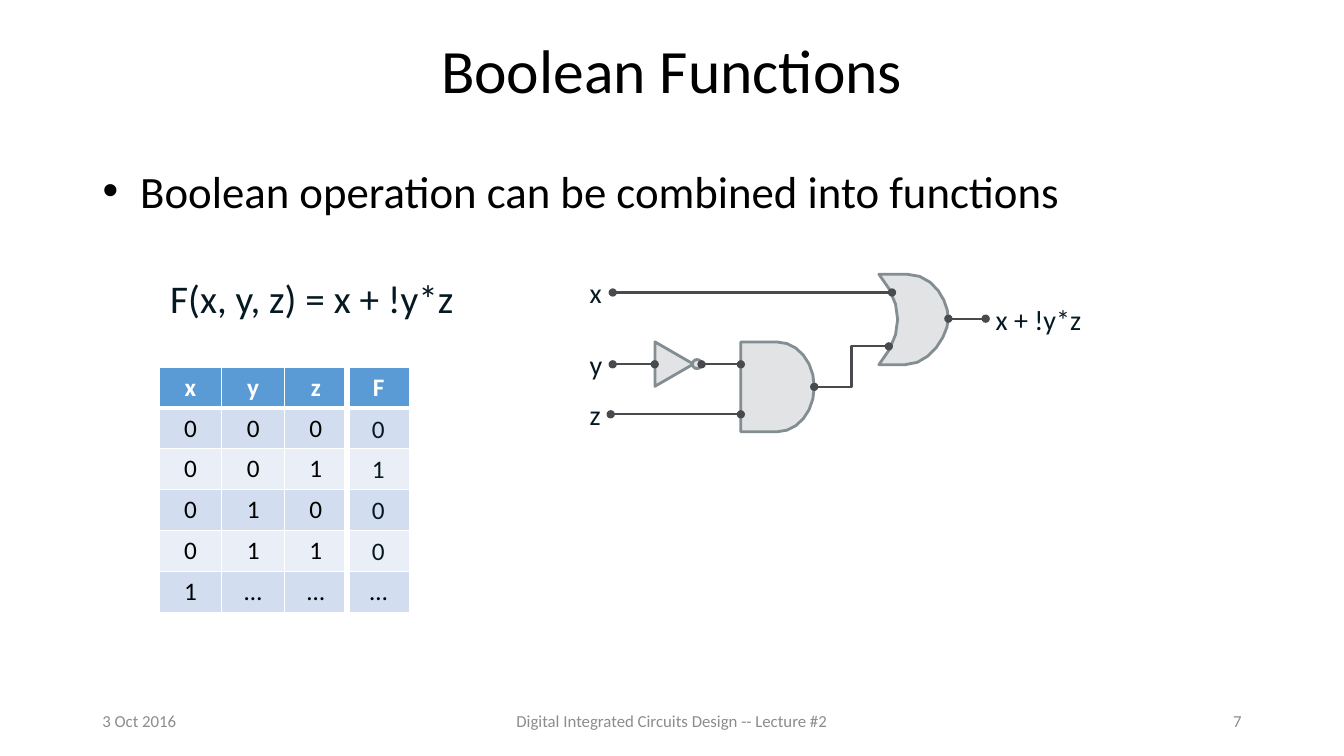
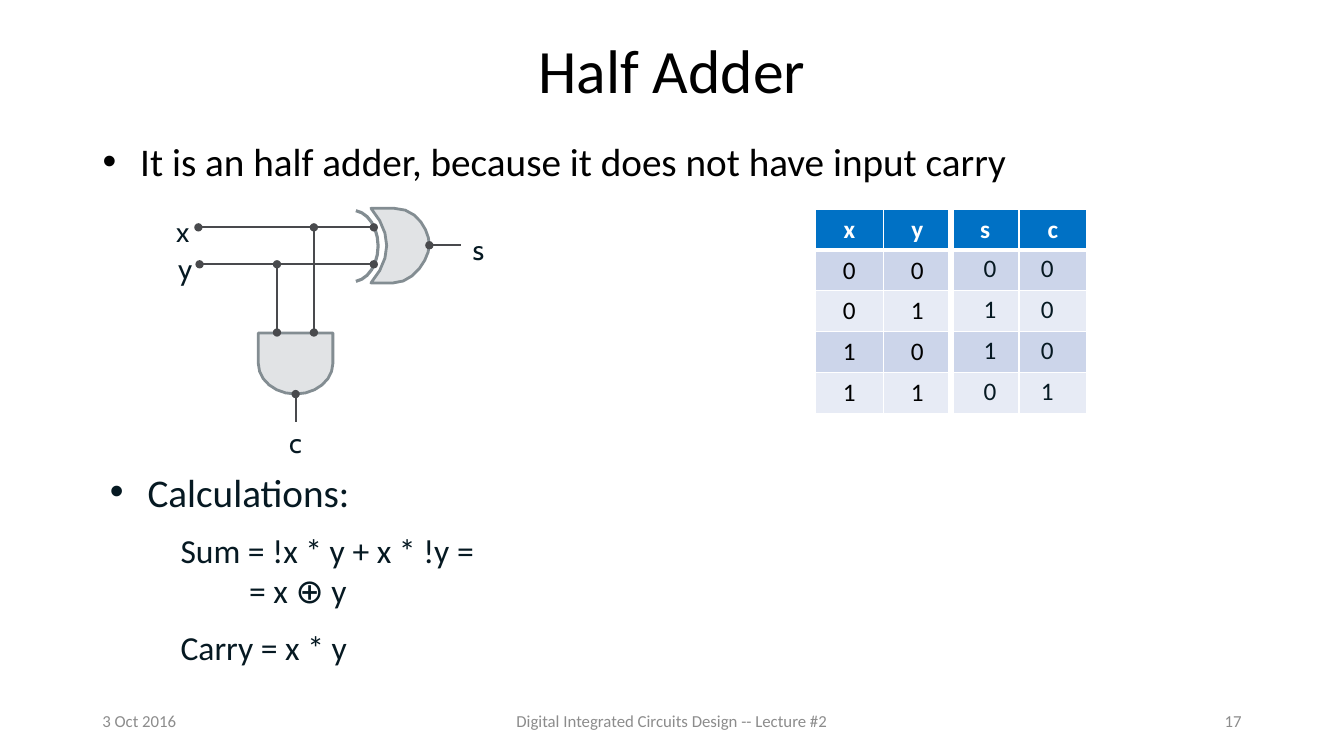
from dataclasses import dataclass
from typing import Any

from lxml.etree import SubElement
from pptx import Presentation
from pptx.dml.color import RGBColor
from pptx.enum.shapes import MSO_CONNECTOR, MSO_SHAPE
from pptx.enum.text import MSO_ANCHOR, MSO_AUTO_SIZE, PP_ALIGN
from pptx.oxml.ns import qn
from pptx.util import Cm, Pt

BLACK = RGBColor(0x00, 0x00, 0x00)
WHITE = RGBColor(0xFF, 0xFF, 0xFF)
INK = RGBColor(0x06, 0x19, 0x22)
FOOTER_GRAY = RGBColor(0x8C, 0x8C, 0x8C)
GATE_FILL = RGBColor(0xE1, 0xE3, 0xE5)
GATE_LINE = RGBColor(0x83, 0x8D, 0x92)
WIRE = RGBColor(0x49, 0x4A, 0x4D)
# Table palettes: header, odd rows, even rows
SKY = (RGBColor(0x5B, 0x9B, 0xD5), RGBColor(0xD2, 0xDE, 0xEF), RGBColor(0xEA, 0xEF, 0xF7))
BLUE = (RGBColor(0x00, 0x71, 0xC5), RGBColor(0xCC, 0xD5, 0xEA), RGBColor(0xE7, 0xEB, 0xF5))

MARGIN = 2.33
CONTENT_WIDTH = 29.21
HANG = 0.95
ROW_HEIGHT = 1.03

# Unit outlines: a pair is a corner, three pairs are a cubic curve.
AND_OUTLINE = [[(0, 0)], [(0.5, 0)], [(0.77, 0), (1, 0.22), (1, 0.5)],
               [(1, 0.78), (0.77, 1), (0.5, 1)], [(0, 1)]]
AND_DOWN_OUTLINE = [[(1 - v, u) for u, v in segment] for segment in AND_OUTLINE]
OR_OUTLINE = [[(0.4, 0)], [(0, 0)], [(0.36, 0.33), (0.36, 0.67), (0, 1)], [(0.38, 1)],
              [(0.75, 1), (1, 0.66), (1, 0.49)], [(1, 0.32), (0.81, 0), (0.4, 0)]]
XOR_ARC = [[(0, 0)], [(0.55, 0.03), (1, 0.24), (1, 0.5)], [(1, 0.76), (0.55, 0.97), (0, 1)]]


def write(para, text, size=20, font="Calibri", color=INK, bold=False, align=PP_ALIGN.LEFT):
    para.alignment = align
    span = para.add_run()
    span.text = text
    span.font.size = Pt(size)
    span.font.name = font
    span.font.bold = bold
    span.font.color.rgb = color


def indent(para, margin, first=0, bullet=None):
    """Set the left margin and first-line offset, with an optional bullet."""
    properties = para._p.get_or_add_pPr()
    properties.set("marL", str(Cm(margin)))
    properties.set("indent", str(Cm(first)))
    if bullet:
        SubElement(properties, qn("a:buFont")).set("typeface", "Arial")
        SubElement(properties, qn("a:buChar")).set("char", bullet)


def add_text(page, text, left, top, width, height, wrap=True,
             anchor=MSO_ANCHOR.TOP, inset=None, **style):
    """Add a text box holding one paragraph and return its text frame."""
    box = page.shapes.add_textbox(Cm(left), Cm(top), Cm(width), Cm(height))
    frame = box.text_frame
    frame.word_wrap = wrap
    frame.vertical_anchor = anchor
    if inset is not None:
        frame.margin_left = frame.margin_right = Cm(inset)
        frame.margin_top = frame.margin_bottom = Cm(inset)
    write(frame.paragraphs[0], text, **style)
    return frame


def place(shape, left, top, width, height):
    shape.left, shape.top = Cm(left), Cm(top)
    shape.width, shape.height = Cm(width), Cm(height)


def trace(outline, steps=6):
    """Turn an outline into a list of points, sampling its curves."""
    points = []
    for segment in outline:
        if len(segment) == 1:
            points += segment
            continue
        controls = [points[-1], *segment]
        for t in (step / steps for step in range(1, steps + 1)):
            weights = ((1 - t) ** 3, 3 * t * (1 - t) ** 2, 3 * t * t * (1 - t), t ** 3)
            points.append([sum(w * p[axis] for w, p in zip(weights, controls)) for axis in (0, 1)])
    return points


def style_shape(shape, fill=GATE_FILL, line=GATE_LINE, line_width=2):
    shape.shadow.inherit = False
    if fill is None:
        shape.fill.background()
    else:
        shape.fill.solid()
        shape.fill.fore_color.rgb = fill
    shape.line.color.rgb = line
    shape.line.width = Pt(line_width)


@dataclass
class Circuit:
    """A diagram whose parts are placed relative to its top left corner."""
    page: Any
    left: float
    top: float
    font: str = "Calibri"

    def label(self, text, x, y, width=0.81):
        add_text(self.page, text, self.left + x, self.top + y, width, 1.12,
                 wrap=False, font=self.font)

    def gate(self, outline, x, y, width, height, closed=True, **style):
        points = [(Cm(self.left + x + u * width), Cm(self.top + y + v * height))
                  for u, v in trace(outline)]
        builder = self.page.shapes.build_freeform(*points[0])
        builder.add_line_segments(points[1:], close=closed)
        style_shape(builder.convert_to_shape(), **style)

    def preset(self, kind, x, y, width, height, rotation=0, **style):
        shape = self.page.shapes.add_shape(
            kind, Cm(self.left + x), Cm(self.top + y), Cm(width), Cm(height))
        shape.rotation = rotation
        style_shape(shape, **style)

    def wire(self, x1, y1, x2, y2, kind=MSO_CONNECTOR.STRAIGHT, ends=("headEnd", "tailEnd")):
        connector = self.page.shapes.add_connector(
            kind, Cm(self.left + x1), Cm(self.top + y1), Cm(self.left + x2), Cm(self.top + y2))
        connector.line.color.rgb = WIRE
        connector.line.width = Pt(1.5)
        line = connector.line._get_or_add_ln()
        for end in ends:
            SubElement(line, qn(f"a:{end}")).set("type", "oval")
        SubElement(connector._element.spPr, qn("a:effectLst"))


def set_border(cell, side, width):
    line = SubElement(cell._tc.get_or_add_tcPr(), qn(f"a:ln{side}"), w=str(Pt(width)))
    fill = SubElement(line, qn("a:solidFill"))
    SubElement(fill, qn("a:srgbClr")).set("val", str(WHITE))


def add_truth_table(page, rows, inputs, palette, left, top, column_width):
    """Add a table with a thick rule after its inputs; short rows end in empty cells."""
    columns = len(rows[0])
    table = page.shapes.add_table(
        len(rows), columns, Cm(left), Cm(top),
        Cm(columns * column_width), Cm(len(rows) * ROW_HEIGHT)).table
    table.first_row = table.horz_banding = False
    for column in table.columns:
        column.width = Cm(column_width)
    header, odd, even = palette
    for r, row in enumerate(rows):
        table.rows[r].height = Cm(ROW_HEIGHT)
        for c in range(columns):
            cell = table.cell(r, c)
            set_border(cell, "L", 4.5 if c == inputs else 1)
            set_border(cell, "R", 4.5 if c == inputs - 1 else 1)
            set_border(cell, "T", 3 if r == 1 else 1)
            set_border(cell, "B", 3 if r == 0 else 1)
            cell.fill.solid()
            cell.fill.fore_color.rgb = header if r == 0 else odd if r % 2 else even
            write(cell.text_frame.paragraphs[0], row[c:c + 1], size=18, bold=r == 0,
                  color=BLACK if r else WHITE, align=PP_ALIGN.CENTER)


def add_results(page, digits, left, top):
    """Lay a column of result digits over the rows of a table."""
    for row, digit in enumerate(digits):
        add_text(page, digit, left, top + row * ROW_HEIGHT, 1.09, 1.02, size=18)


def add_footer(page, number):
    for text, left, width, align in (
            ("3 Oct 2016", MARGIN, 7.62, PP_ALIGN.LEFT),
            ("Digital Integrated Circuits Design -- Lecture #2", 11.22, 11.43, PP_ALIGN.CENTER),
            (str(number), 23.92, 7.62, PP_ALIGN.RIGHT)):
        add_text(page, text, left, 17.65, width, 1.02, anchor=MSO_ANCHOR.MIDDLE,
                 size=12, color=FOOTER_GRAY, align=align)


def add_page(deck, title, bullet, number, body_top, body_height, body_size):
    """Add a slide with its title, leading bullet and footer."""
    page = deck.slides.add_slide(deck.slide_layouts[1])
    heading, body = page.shapes.title, page.placeholders[1]
    place(heading, MARGIN, 0, CONTENT_WIDTH, 3.7)
    heading.text_frame.vertical_anchor = MSO_ANCHOR.MIDDLE
    para = heading.text_frame.paragraphs[0]
    para.line_spacing = 0.9
    write(para, title, size=44, color=BLACK, align=PP_ALIGN.CENTER)

    place(body, MARGIN, body_top, CONTENT_WIDTH, body_height)
    body.text_frame.auto_size = MSO_AUTO_SIZE.NONE
    para = body.text_frame.paragraphs[0]
    indent(para, HANG, -HANG, "•")
    para.space_before = Pt(0)
    write(para, bullet, size=body_size, color=BLACK)
    add_footer(page, number)
    return page


def draw_function_circuit(page, left, top):
    circuit = Circuit(page, left, top)
    circuit.preset(MSO_SHAPE.ISOSCELES_TRIANGLE, 1.83, 1.89, 1.12, 0.97, rotation=90)
    circuit.preset(MSO_SHAPE.OVAL, 2.85, 2.26, 0.23, 0.23)
    circuit.gate(AND_OUTLINE, 4.07, 1.82, 1.85, 2.26)
    circuit.gate(OR_OUTLINE, 7.55, 0.11, 1.75, 2.28)
    for start, end, y in ((0.84, 7.88, 0.57), (0.84, 1.9, 2.38), (3.08, 4.07, 2.38),
                          (0.79, 4.07, 3.64), (9.3, 10.24, 1.23)):
        circuit.wire(start, y, end, y)
    circuit.wire(5.92, 2.95, 7.8, 1.93, kind=MSO_CONNECTOR.ELBOW)
    for text, y in (("x", 0.02), ("y", 1.84), ("z", 3.08)):
        circuit.label(text, 0.01, y)
    circuit.label("x + !y*z", 10.24, 0.69, width=2.69)


def draw_half_adder(page, left, top):
    circuit = Circuit(page, left, top, font="Cabin")
    circuit.preset(MSO_SHAPE.RECTANGLE, 0.03, -0.02, 12.9, 6.38,
                   fill=WHITE, line=WHITE, line_width=0.25)
    circuit.gate(AND_DOWN_OUTLINE, 3.21, 3.29, 1.88, 1.54)
    circuit.gate(OR_OUTLINE, 6.05, 0.15, 1.47, 1.88)
    circuit.gate(XOR_ARC, 5.67, 0.21, 0.56, 1.78, closed=False, fill=None, line_width=2.25)
    for start, y, branch in ((1.7, 0.63, 4.61), (1.73, 1.56, 3.68)):
        circuit.wire(start, y, 6.12, y)
        circuit.wire(branch, 3.28, branch, y)
    circuit.wire(7.52, 1.08, 8.31, 1.08, ends=("headEnd",))
    circuit.wire(4.15, 4.83, 4.15, 5.54, ends=("headEnd",))
    for text, x, y in (("x", 0.89, 0.18), ("y", 0.94, 1.12), ("s", 8.36, 0.64), ("c", 3.74, 5.49)):
        circuit.label(text, x, y)


def add_calculations(page, left, top):
    heading = add_text(page, "Calculations:", left, top, 22.86, 2.21, inset=0, size=28)
    indent(heading.paragraphs[0], HANG, -HANG, "•")
    frame = add_text(page, "Sum = !x * y + x * !y =", left + 1.53, top + 1.44, 15.52, 3.76, size=24)
    para = frame.add_paragraph()
    indent(para, 1.73)
    write(para, "= x ⊕ y", size=24)
    para = frame.add_paragraph()
    para.space_before = Pt(12)
    write(para, "Carry = x * y", size=24)


def build_functions_page(deck):
    page = add_page(deck, "Boolean Functions", "Boolean operation can be combined into functions",
                    number=7, body_top=3.99, body_height=1.83, body_size=32)
    add_text(page, "F(x, y, z) = x + !y*z", 4.04, 6.78, 8.2, 1.45, size=28)
    draw_function_circuit(page, 14.6, 6.8)
    add_truth_table(page, ["xyzF", "000", "001", "010", "011", "1………"],
                    inputs=3, palette=SKY, left=4.01, top=9.25, column_width=1.58)
    add_results(page, "0100", 9.12, 10.28)


def build_half_adder_page(deck):
    page = add_page(deck, "Half Adder", "It is an half adder, because it does not have input carry",
                    number=17, body_top=3.33, body_height=1.65, body_size=28)
    add_truth_table(page, ["xysc", "00", "01", "10", "11"],
                    inputs=2, palette=BLUE, left=20.55, top=5.27, column_width=1.71)
    add_results(page, "0110", 24.54, 6.24)
    add_results(page, "0001", 25.98, 6.24)
    add_calculations(page, 2.77, 11.79)
    draw_half_adder(page, 3.3, 5.1)


def main():
    deck = Presentation()
    deck.slide_width, deck.slide_height = Cm(33.87), Cm(19.05)
    build_functions_page(deck)
    build_half_adder_page(deck)
    deck.save("out.pptx")


if __name__ == "__main__":
    main()
